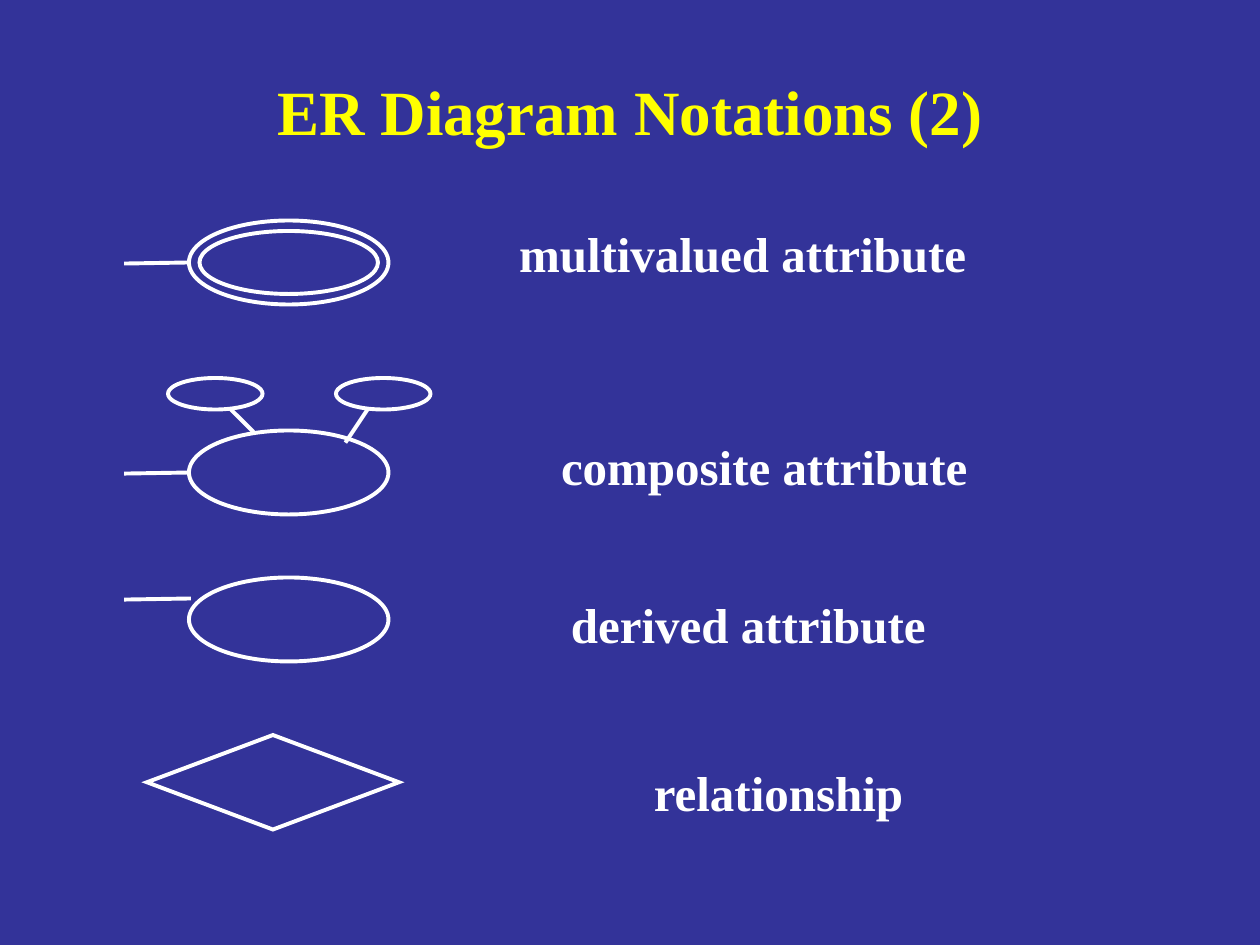
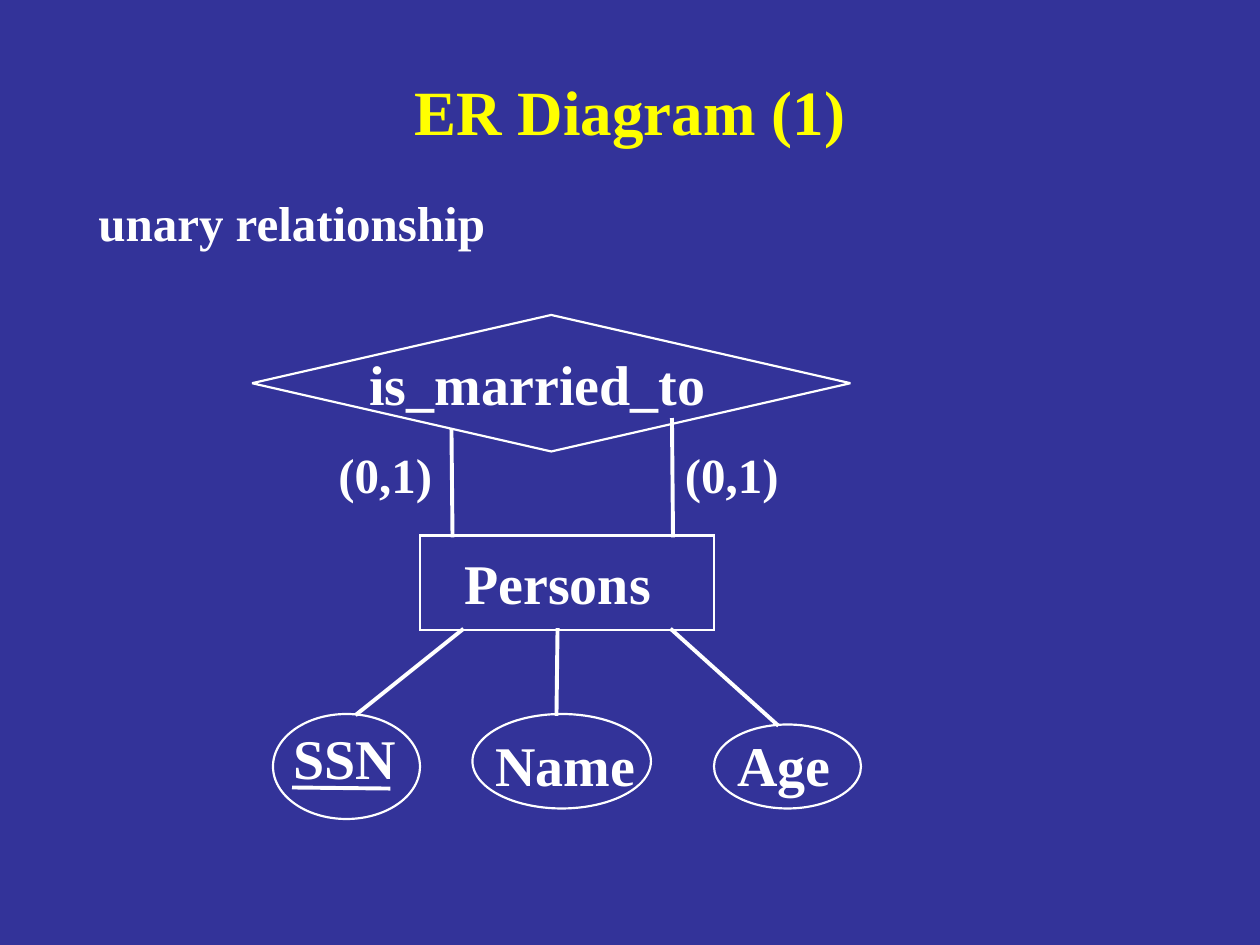
from lxml.etree import SubElement
from pptx import Presentation
from pptx.dml.color import RGBColor
from pptx.enum.shapes import MSO_CONNECTOR as Link, MSO_SHAPE as Preset
from pptx.enum.text import MSO_ANCHOR as Anchor, MSO_AUTO_SIZE as Fit, PP_ALIGN as Align
from pptx.oxml.ns import qn
from pptx.util import Inches, Pt

NAVY = RGBColor(0x33, 0x33, 0x99)
WHITE = RGBColor(0xFF, 0xFF, 0xFF)
YELLOW = RGBColor(0xFF, 0xFF, 0x00)

COLUMNS, ROWS = 120, 90
CELL = Inches(10) / COLUMNS
THICK, THIN = Pt(2.25), Pt(1.25)
TITLE_BOX = (9, 5, 102, 11)
ATTRIBUTE_SIZE = (19, 8)
STEM = 6
LEAN = 0.1

TITLE_FONT = {"name": "Times New Roman", "size": Pt(36), "bold": True}
CAPTION_FONT = {**TITLE_FONT, "size": Pt(28)}
NODE_FONT = {**TITLE_FONT, "size": Pt(32)}


def grid(*cells):
    return [round(cell * CELL) for cell in cells]


def apply_format(target, values):
    for key, value in values.items():
        setattr(target, key, value)


def write(slide, words, box, font, color=WHITE, align=Align.LEFT, frame=None):
    text = slide.shapes.add_textbox(*grid(*box)).text_frame
    apply_format(text, frame or {"word_wrap": False, "auto_size": Fit.SHAPE_TO_FIT_TEXT})
    paragraph = text.paragraphs[0]
    paragraph.text = words
    paragraph.alignment = align
    apply_format(paragraph.font, font)
    paragraph.font.color.rgb = color


def stroke(part, width):
    part.line.color.rgb = WHITE
    part.line.width = width
    pen = part._element.spPr.find(qn("a:ln"))
    pen.set("cap", "sq")
    SubElement(pen, qn("a:miter"), lim="800000")


def outline(slide, preset, box, width=THICK):
    symbol = slide.shapes.add_shape(preset, *grid(*box))
    symbol.shadow.inherit = False
    symbol.fill.background()
    stroke(symbol, width)


def link(slide, start, end):
    edge = slide.shapes.add_connector(Link.STRAIGHT, *grid(*start, *end))
    stroke(edge, THICK)
    SubElement(edge._element.spPr, qn("a:effectLst"))


def titled_slide(deck, title):
    slide = deck.slides.add_slide(deck.slide_layouts[6])
    slide.background.fill.solid()
    slide.background.fill.fore_color.rgb = NAVY
    write(slide, title, TITLE_BOX, TITLE_FONT, YELLOW, Align.CENTER,
          {"word_wrap": True, "vertical_anchor": Anchor.MIDDLE})
    return slide


def attribute(slide, x, y, stem_row=4):
    outline(slide, Preset.OVAL, (x + STEM, y, *ATTRIBUTE_SIZE))
    link(slide, (x + STEM, y + stem_row), (x, y + stem_row + LEAN))


def multivalued(slide, x, y):
    attribute(slide, x, y)
    width, height = ATTRIBUTE_SIZE
    outline(slide, Preset.OVAL, (x + STEM + 1, y + 1, width - 2, height - 2))


def composite(slide, x, y):
    attribute(slide, x, y + 5)
    for part in (4, 20):
        outline(slide, Preset.OVAL, (x + part, y, 9, 3))
    link(slide, (x + 10, y + 3), (x + 12, y + 5))
    link(slide, (x + 23, y + 3), (x + 21, y + 6))


def derived(slide, x, y):
    attribute(slide, x, y, stem_row=2)


def relationship(slide, x, y):
    outline(slide, Preset.DIAMOND, (x + 2, y, 24, 9))


def notation_slide(deck):
    slide = titled_slide(deck, "ER Diagram Notations (2)")
    notations = [
        (multivalued, 21, "multivalued attribute", (48.25, 20.7, 45.2)),
        (composite, 36, "composite attribute", (52.25, 41, 41.4)),
        (derived, 55, "derived attribute", (53.2, 56, 36.5)),
        (relationship, 70, "relationship", (61.1, 72, 26.4)),
    ]
    for draw, row, meaning, place in notations:
        draw(slide, 12, row)
        write(slide, meaning, (*place, 6.8), CAPTION_FONT)


def node(slide, preset, box, name, dx, dy, name_width):
    x, y = box[:2]
    outline(slide, preset, box, THIN)
    write(slide, name, (x + dx, y + dy, name_width, 7.7), NODE_FONT)


def married_to(slide, x, y):
    node(slide, Preset.DIAMOND, (x, y, 57, 13), "is_married_to", 10, 2.7, 34.8)
    for column, top, cardinality in ((19, 11, 7.05), (40, 10, 40.05)):
        link(slide, (x + column, y + top), (x + column + LEAN, y + 21))
        write(slide, "(0,1)", (x + cardinality, y + 11.7, 11.6, 6.8), CAPTION_FONT)


def persons(slide, x, y):
    node(slide, Preset.RECTANGLE, (x, y, 28, 9), "Persons", 3.05, 0.7, 20.6)
    attributes = [
        ("SSN", (-14, 17, 14, 10), (0.75, 0.35, 12.6), (4, 9), (-6, 17)),
        ("Name", (5, 17, 17, 9), (1, 1, 16.2), (13 + LEAN, 9), (13, 17)),
        ("Age", (28, 18, 14, 8), (1.05, 1, 11.7), (24, 9), (34, 18)),
    ]
    for name, (left, top, width, height), place, start, end in attributes:
        dx, dy, name_width = place
        dy = dy - 1 if name == "Age" else dy
        node(slide, Preset.OVAL, (x + left, y + top, width, height), name, dx, dy, name_width)
        link(slide, (x + start[0], y + start[1]), (x + end[0], y + end[1]))
    link(slide, (x - 12, y + 24), (x - 3, y + 24 + LEAN))


def unary_slide(deck):
    slide = titled_slide(deck, "ER Diagram (1)")
    write(slide, "unary relationship", (8.2, 17.7, 39.4, 6.8), CAPTION_FONT)
    married_to(slide, 24, 30)
    persons(slide, 40, 51)


def main():
    deck = Presentation()
    deck.slide_width, deck.slide_height = grid(COLUMNS, ROWS)
    notation_slide(deck)
    unary_slide(deck)
    deck.save("out.pptx")


if __name__ == "__main__":
    main()
